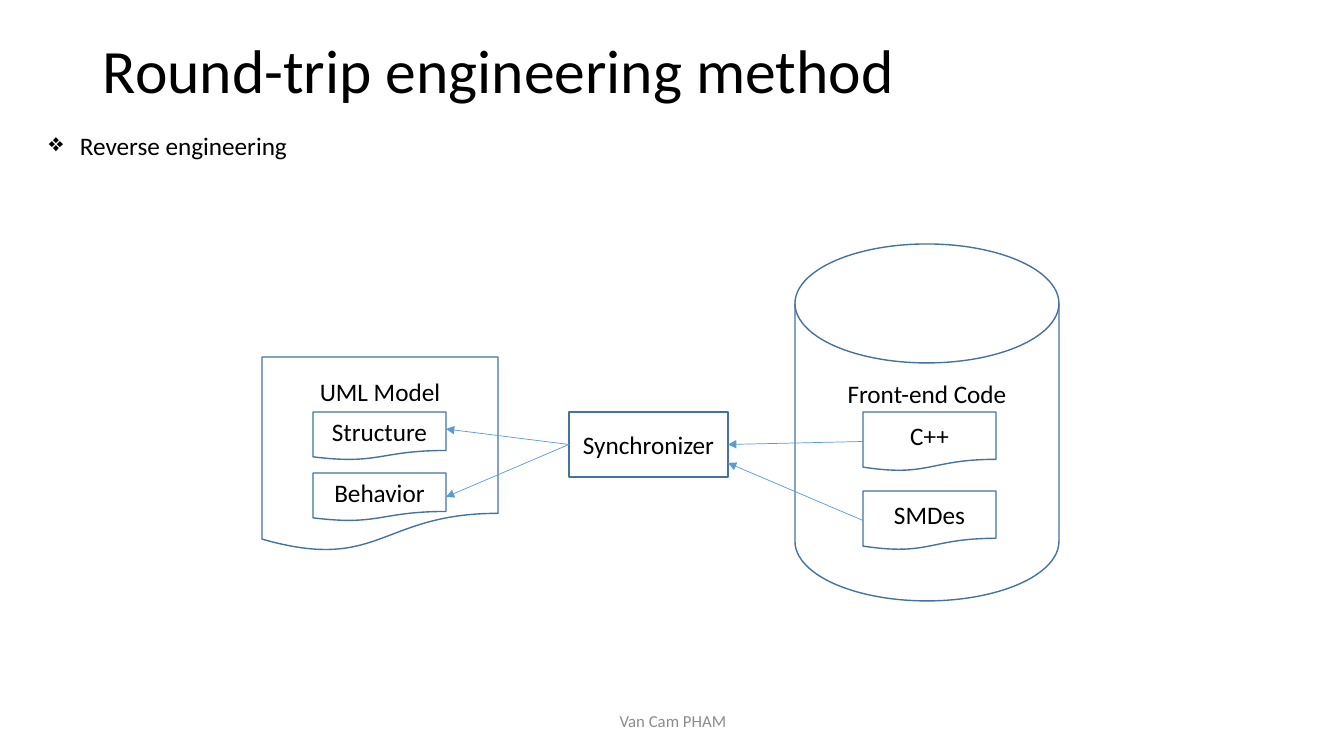
from pptx import Presentation
from pptx.dml.color import RGBColor
from pptx.enum.shapes import MSO_CONNECTOR, MSO_SHAPE as Shape
from pptx.enum.text import MSO_ANCHOR as Anchor, PP_ALIGN as Align
from pptx.oxml.ns import qn
from pptx.util import Pt
from lxml.etree import SubElement

EMU_PER_PX = 914400 / 100.8
FONT, BLACK, GREY = "Calibri", "000000", "8C8C8C"
OUTLINE, ARROW = "43739E", "5B9BD5"
LEFT, RIGHT = 1, 3

# text, box, size, colour, alignment, anchor
TITLE = ("Round-trip engineering method", (93, 21, 1159, 105), 44, BLACK, Align.LEFT, Anchor.MIDDLE)
TOPIC = ("Reverse engineering", (39, 125, 1265, 40), 18, BLACK, Align.LEFT, Anchor.TOP)
AUTHOR = ("Van Cam PHAM", (446, 701, 454, 40), 12, GREY, Align.CENTER, Anchor.MIDDLE)
BULLET, BULLET_INDENT = "❖", 31

# text, preset, box, top inset of a container's heading (None centres the text)
NODES = [
    ("Front-end Code", Shape.FLOWCHART_MAGNETIC_DISK, (795, 244, 264, 357), 15),
    ("C++", Shape.FLOWCHART_DOCUMENT, (863, 412, 133, 59), None),
    ("SMDes", Shape.FLOWCHART_DOCUMENT, (863, 491, 133, 59), None),
    ("UML Model", Shape.FLOWCHART_DOCUMENT, (262, 357, 236, 195), 19),
    ("Structure", Shape.FLOWCHART_DOCUMENT, (313, 412, 133, 48), None),
    ("Behavior", Shape.FLOWCHART_DOCUMENT, (313, 473, 133, 48), None),
    ("Synchronizer", Shape.RECTANGLE, (569, 412, 159, 65), None),
]

# source, and a target that is a node or a point
FLOWS = [
    ("C++", "Synchronizer"),
    ("SMDes", (728, 463)),
    ("Synchronizer", (446, 429)),
    ("Synchronizer", "Behavior"),
]


def px(length):
    return round(length * EMU_PER_PX)


def scaled(lengths):
    return [px(length) for length in lengths]


def color(hex_string):
    return RGBColor.from_string(hex_string)


def write(frame, text, size, ink, align, anchor):
    frame.word_wrap = True
    frame.vertical_anchor = anchor
    paragraph = frame.paragraphs[0]
    paragraph.text = text
    paragraph.alignment = align
    paragraph.font.name = FONT
    paragraph.font.size = Pt(size)
    paragraph.font.color.rgb = color(ink)
    return paragraph


def add_label(text, box, *style):
    frame = slide.shapes.add_textbox(*scaled(box)).text_frame
    return write(frame, text, *style)


def add_bullet(paragraph):
    properties = paragraph._p.get_or_add_pPr()
    properties.set("marL", str(px(BULLET_INDENT)))
    properties.set("indent", str(-px(BULLET_INDENT)))
    SubElement(properties, qn("a:buChar")).set("char", BULLET)


def add_node(text, preset, box, heading_inset):
    node = slide.shapes.add_shape(preset, *scaled(box))
    node.shadow.inherit = False
    node.fill.background()
    node.line.color.rgb = color(OUTLINE)
    node.line.width = Pt(1)
    anchor = Anchor.MIDDLE
    if heading_inset is not None:
        anchor = Anchor.TOP
        node.text_frame.margin_top = px(heading_inset)
    write(node.text_frame, text, 18, BLACK, Align.CENTER, anchor)
    return node


def add_flow(source, target):
    """Draw an arrow leftwards from a node to a node or a point."""
    end = (0, 0) if target in nodes else scaled(target)
    flow = slide.shapes.add_connector(MSO_CONNECTOR.STRAIGHT, 0, 0, *end)
    flow.begin_connect(nodes[source], LEFT)
    if target in nodes:
        flow.end_connect(nodes[target], RIGHT)
    flow.line.color.rgb = color(ARROW)
    flow.line.width = Pt(0.5)
    SubElement(flow.line._get_or_add_ln(), qn("a:tailEnd")).set("type", "triangle")
    SubElement(flow._element.spPr, qn("a:effectLst"))


presentation = Presentation()
presentation.slide_width, presentation.slide_height = scaled((1344, 756))
slide = presentation.slides.add_slide(presentation.slide_layouts[6])

add_label(*TITLE).line_spacing = 0.9
add_bullet(add_label(*TOPIC))
nodes = {node[0]: add_node(*node) for node in NODES}
for flow_ends in FLOWS:
    add_flow(*flow_ends)
add_label(*AUTHOR)

presentation.save("out.pptx")
